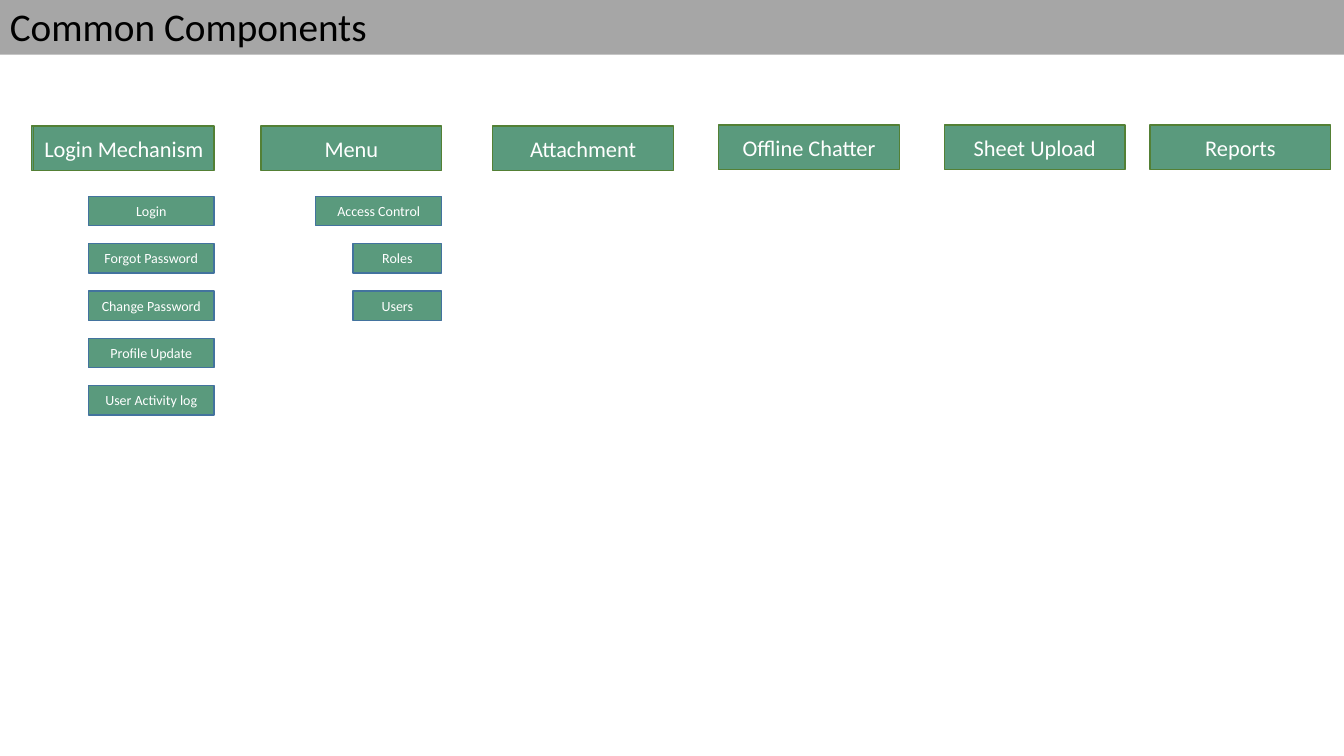
from pptx import Presentation
from pptx.dml.color import RGBColor
from pptx.enum.shapes import MSO_SHAPE
from pptx.enum.text import MSO_ANCHOR, PP_ALIGN
from pptx.util import Pt

RECT = MSO_SHAPE.RECTANGLE
MIDDLE, BOTTOM = MSO_ANCHOR.MIDDLE, MSO_ANCHOR.BOTTOM
LEFT, CENTER = PP_ALIGN.LEFT, PP_ALIGN.CENTER

TITLE = "Common Components"
WIDE, NARROW = 90, 63.4
COMPONENTS = [
    ("Login Mechanism", 24, 90, [
        ("Login", WIDE), ("Forgot Password", WIDE), ("Change Password", WIDE),
        ("Profile Update", WIDE), ("User Activity log", WIDE)]),
    ("Menu", 186.5, 90, [
        ("Access Control", WIDE), ("Roles", NARROW), ("Users", NARROW)]),
    ("Attachment", 352, 90, []),
    ("Offline Chatter", 513.4, 89.3, []),
    ("Sheet Upload", 674.6, 89.3, []),
    ("Reports", 821.5, 89.3, []),
]
COLORS = {"bar": "A6A6A6", "box": "5A9A7D", "head_line": "538035",
          "item_line": "43739E", "title": "000000", "label": "FFFFFF"}
FONT = "Calibri"
SLIDE_W, SLIDE_H, BAR_H = 960, 540, 39
HEAD_W, HEAD_H = 129, 31.7
ITEM_TOP, ITEM_H, ITEM_PITCH = 140.2, 21, 33.8
BACKING_OFFSET = 1.5


def rgb(name):
    return RGBColor.from_string(COLORS[name])


def add_box(s, x, y, w, h, text, size, line=None, fill="box", color="label",
            align=CENTER, anchor=MIDDLE, spacing=None):
    sp = s.shapes.add_shape(RECT, Pt(x), Pt(y), Pt(w), Pt(h))
    sp.shadow.inherit = False
    sp.fill.solid()
    sp.fill.fore_color.rgb = rgb(fill)
    if line:
        sp.line.color.rgb = rgb(line)
        sp.line.width = Pt(1)
    else:
        sp.line.fill.background()
    if not text:
        return
    tf = sp.text_frame
    tf.word_wrap = True
    tf.vertical_anchor = anchor
    p = tf.paragraphs[0]
    p.alignment = align
    p.line_spacing = spacing
    r = p.add_run()
    r.text = text
    r.font.name = FONT
    r.font.size = Pt(size)
    r.font.color.rgb = rgb(color)


def main():
    """Build the slide of common components with their parts listed below."""
    prs = Presentation()
    prs.slide_width, prs.slide_height = Pt(SLIDE_W), Pt(SLIDE_H)
    s = prs.slides.add_slide(prs.slide_layouts[6])
    add_box(s, 0, 0, SLIDE_W, BAR_H, TITLE, 28, fill="bar", color="title",
            align=LEFT, anchor=BOTTOM, spacing=0.9)
    first_x, first_y = COMPONENTS[0][1:3]
    add_box(s, first_x - BACKING_OFFSET, first_y, HEAD_W, HEAD_H, "", 16, "head_line")
    for name, x, y, items in COMPONENTS:
        add_box(s, x, y, HEAD_W, HEAD_H, name, 16, "head_line")
        for i, (item, w) in enumerate(items):
            add_box(s, x + HEAD_W - w, ITEM_TOP + i * ITEM_PITCH, w, ITEM_H,
                    item, 10, "item_line")
    prs.save("out.pptx")


if __name__ == "__main__":
    main()
